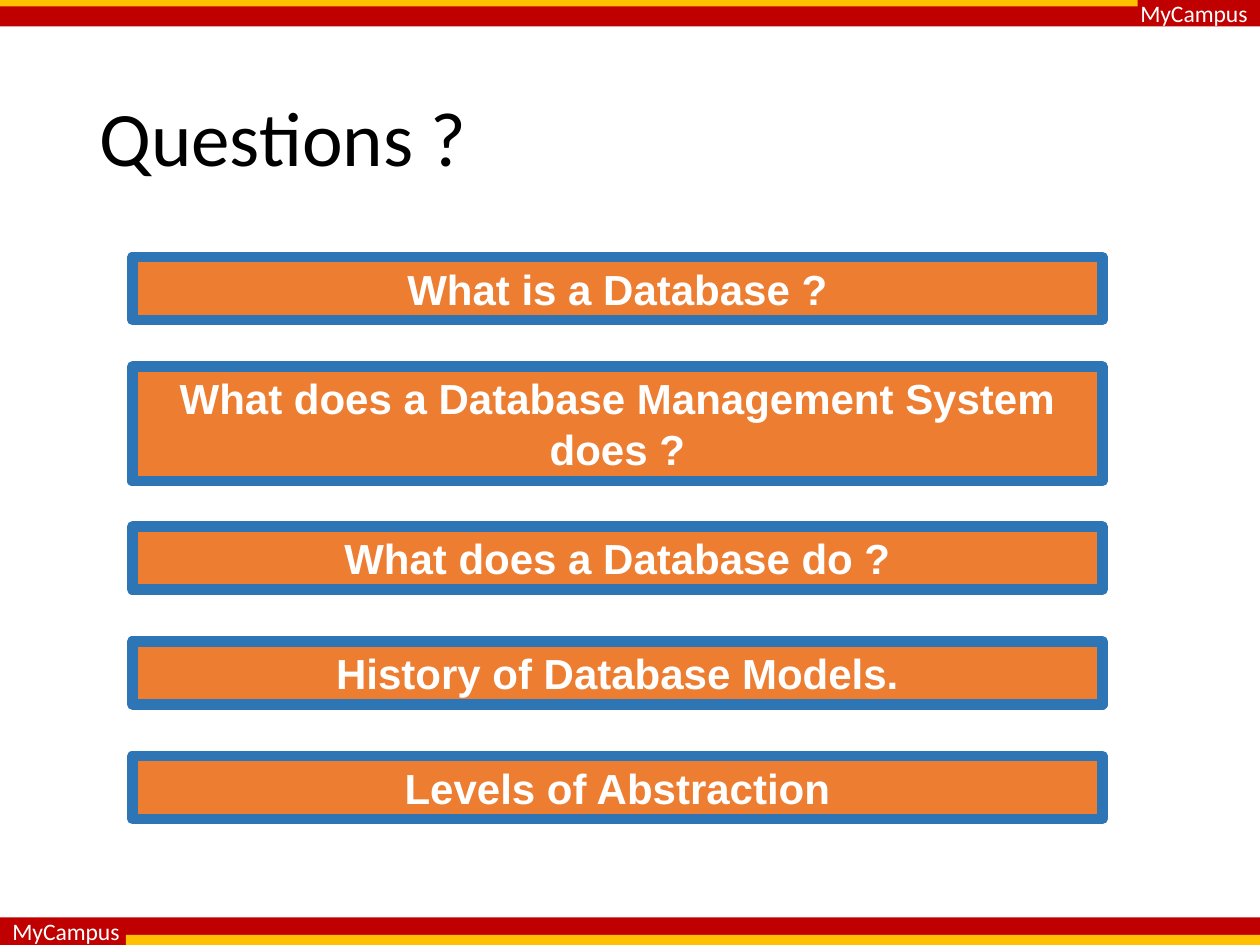
from dataclasses import dataclass

from pptx import Presentation
from pptx.dml.color import RGBColor as RGB
from pptx.enum.shapes import MSO_SHAPE as Kind
from pptx.enum.text import MSO_ANCHOR as Anchor, MSO_AUTO_SIZE as Fit, PP_ALIGN as Align
from pptx.util import Inches, Pt


@dataclass(frozen=True)
class Theme:
    red: RGB = RGB(0xC0, 0x00, 0x00)
    gold: RGB = RGB(0xFF, 0xC0, 0x00)
    orange: RGB = RGB(0xED, 0x7D, 0x31)
    blue: RGB = RGB(0x2E, 0x75, 0xB6)
    white: RGB = RGB(0xFF, 0xFF, 0xFF)
    black: RGB = RGB(0x00, 0x00, 0x00)
    head: str = "Calibri"
    body: str = "Arial"
    title: float = 44
    item: float = 24
    brand: float = 13.5
    edge: float = 6


THEME = Theme()
WIDE, HIGH = 10, 7.5
BRAND = "MyCampus"
ITEMS = [  # text, top, height
    ("What is a Database ?", 2.04, 0.5),
    ("What does a Database Management System does ?", 2.91, 0.91),
    ("What does a Database do ?", 4.18, 0.5),
    ("History of Database Models.", 5.09, 0.5),
    ("Levels of Abstraction", 6, 0.5),
]


def write(frame, text, font, size, color, align, bold=False):
    para = frame.paragraphs[0]
    para.alignment = align
    run = para.add_run()
    run.text = text
    run.font.name = font
    run.font.size = Pt(size)
    run.font.bold = bold
    run.font.color.rgb = color
    return para


def add_rect(slide, x, y, w, h, fill):
    rect = slide.shapes.add_shape(Kind.RECTANGLE, Inches(x), Inches(y), Inches(w), Inches(h))
    rect.shadow.inherit = False
    rect.fill.solid()
    rect.fill.fore_color.rgb = fill
    rect.line.fill.background()
    return rect


def add_band(slide, y, h, align, strip):
    """Red band with the brand name and a gold strip, given as x, offset, width, height."""
    band = add_rect(slide, 0, y, WIDE, h, THEME.red)
    frame = band.text_frame
    frame.word_wrap = False
    frame.vertical_anchor = Anchor.MIDDLE
    write(frame, BRAND, THEME.head, THEME.brand, THEME.white, align)
    left, down, w, tall = strip
    add_rect(slide, left, y + down, w, tall, THEME.gold)


def set_title(slide, text, x, y, w, h):
    title = slide.shapes.title
    title.left, title.top, title.width, title.height = map(Inches, (x, y, w, h))
    frame = title.text_frame
    frame.word_wrap = True
    frame.vertical_anchor = Anchor.MIDDLE
    para = write(frame, text, THEME.head, THEME.title, THEME.black, Align.LEFT)
    para.line_spacing = 0.9


def add_items(slide, x, w):
    for text, y, h in ITEMS:
        box = add_rect(slide, x, y, w, h, THEME.orange)
        box.line.color.rgb = THEME.blue
        box.line.width = Pt(THEME.edge)
        frame = box.text_frame
        frame.word_wrap = True
        frame.auto_size = Fit.SHAPE_TO_FIT_TEXT
        frame.vertical_anchor = Anchor.TOP
        write(frame, text, THEME.body, THEME.item, THEME.white, Align.CENTER, True)


def main():
    deck = Presentation()
    deck.slide_width, deck.slide_height = Inches(WIDE), Inches(HIGH)
    slide = deck.slides.add_slide(deck.slide_layouts[5])
    add_band(slide, 0, 0.21, Align.RIGHT, (0, 0, 9.03, 0.05))
    add_band(slide, HIGH - 0.22, 0.22, Align.LEFT, (1, 0.14, 9, 0.08))
    set_title(slide, "Questions ?", 0.69, 0.4, 8.62, 1.45)
    add_items(slide, 1.05, 7.7)
    deck.save("out.pptx")


if __name__ == "__main__":
    main()
